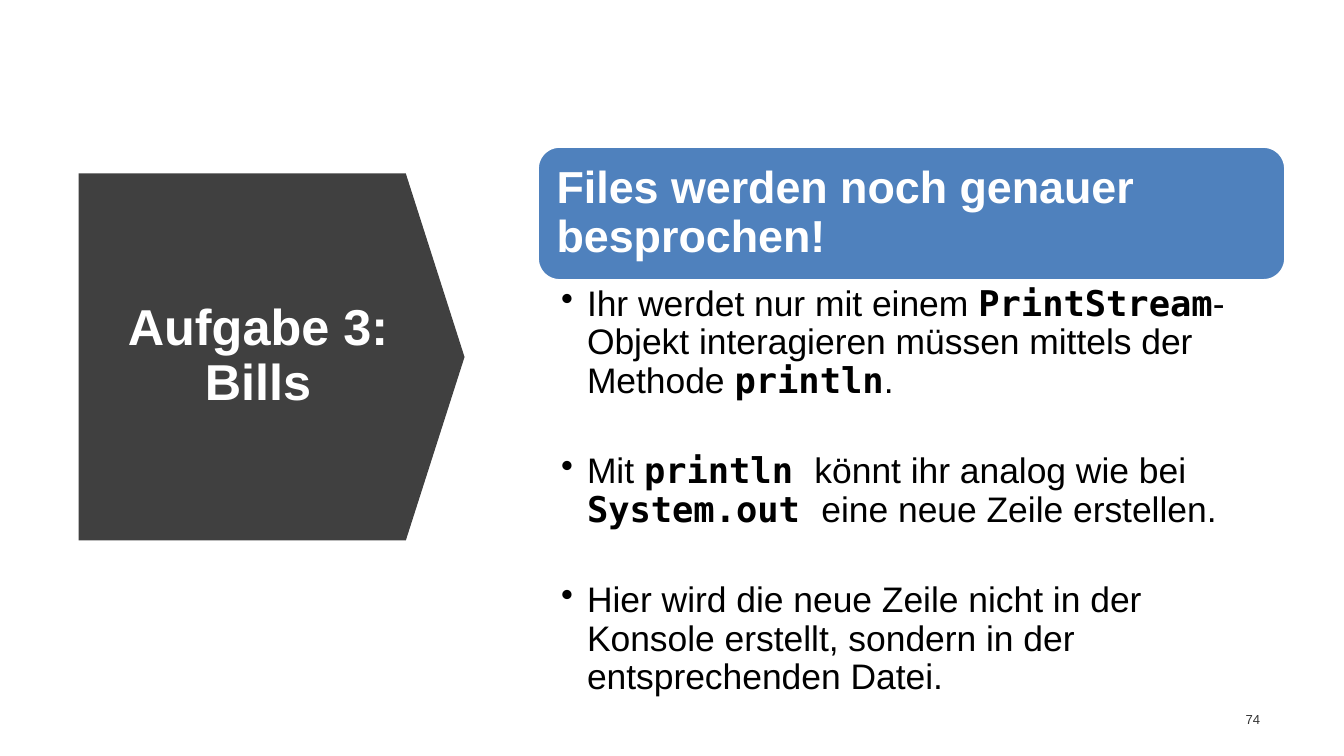
import dataclasses

import lxml.etree
import pptx
import pptx.dml.color
import pptx.enum.shapes
import pptx.enum.text
import pptx.oxml.ns
import pptx.util

EMU_PER_PX = 9144000 / 1344
SHAPES = pptx.enum.shapes.MSO_SHAPE
ALIGN = pptx.enum.text.PP_ALIGN
ANCHOR = pptx.enum.text.MSO_ANCHOR


def px(length):
    return pptx.util.Emu(round(length * EMU_PER_PX))


@dataclasses.dataclass(frozen=True)
class Theme:
    sans: str = "Arial"
    mono: str = "DejaVu Sans Mono"
    dark: str = "404040"
    accent: str = "4F81BD"
    light: str = "FFFFFF"
    ink: str = "000000"
    muted: str = "333333"
    title_size: int = 27
    heading_size: int = 24
    body_size: int = 19
    number_size: int = 7
    line_spacing: float = 0.9
    bullet_gap: int = 28


class SlideBuilder:
    def __init__(self, slide, theme):
        self.slide = slide
        self.theme = theme

    def apply(self, target, formats):
        for name, value in formats.items():
            setattr(target, name, value)

    def shape(self, kind, box, fill, line=None, adjustments=(), rotation=0):
        shape = self.slide.shapes.add_shape(kind, *map(px, box))
        self.apply(shape, {"rotation": rotation})
        self.apply(shape.shadow, {"inherit": False})
        shape.fill.solid()
        shape.fill.fore_color.rgb = pptx.dml.color.RGBColor.from_string(fill)
        if line:
            shape.line.color.rgb = pptx.dml.color.RGBColor.from_string(line)
            shape.line.width = pptx.util.Pt(2)
        else:
            shape.line.fill.background()
        for index, value in enumerate(adjustments):
            shape.adjustments[index] = value
        return shape

    def frame(self, shape, insets, anchor):
        sides = ("margin_left", "margin_top", "margin_right", "margin_bottom")
        formats = dict(zip(sides, map(px, insets)))
        formats.update(word_wrap=True, vertical_anchor=anchor)
        self.apply(shape.text_frame, formats)
        return shape.text_frame

    def runs(self, paragraph, parts, size, color, align):
        self.apply(paragraph, {"alignment": align, "line_spacing": self.theme.line_spacing})
        for text, font, bold in parts:
            run = paragraph.add_run()
            run.text = text
            self.apply(run.font, {"name": font, "size": pptx.util.Pt(size), "bold": bold})
            run.font.color.rgb = pptx.dml.color.RGBColor.from_string(color)

    def label(self, shape, text, size, color, bold, align, insets=(13, 7, 13, 7)):
        frame = self.frame(shape, insets, ANCHOR.MIDDLE)
        self.runs(frame.paragraphs[0], [(text, self.theme.sans, bold)], size, color, align)

    def text(self, box, *style):
        self.label(self.slide.shapes.add_textbox(*map(px, box)), *style)

    def bullets(self, box, insets, items):
        frame = self.frame(self.slide.shapes.add_textbox(*map(px, box)), insets, ANCHOR.TOP)
        for index, item in enumerate(items):
            paragraph = frame.add_paragraph() if index else frame.paragraphs[0]
            parts = [
                (text, self.theme.mono if code else self.theme.sans, code)
                for text, code in item
            ]
            self.runs(paragraph, parts, self.theme.body_size, self.theme.ink, ALIGN.LEFT)
            if index < len(items) - 1:
                paragraph.space_after = pptx.util.Pt(self.theme.bullet_gap)
            properties = paragraph._p.get_or_add_pPr()
            indent = px(26)
            for name, value in {"marL": indent, "indent": -indent}.items():
                properties.set(name, str(value))
            bullet = lxml.etree.SubElement(properties, pptx.oxml.ns.qn("a:buChar"))
            bullet.set("char", "•")


def main():
    theme = Theme()
    presentation = pptx.Presentation()
    presentation.slide_width, presentation.slide_height = px(1344), px(756)
    slide = presentation.slides.add_slide(presentation.slide_layouts[6])
    builder = SlideBuilder(slide, theme)

    builder.shape(SHAPES.DOWN_ARROW, (88, 164, 367, 386), theme.dark,
                  adjustments=(1, 0.16), rotation=270)
    builder.text((113, 216, 290, 281), "Aufgabe 3: Bills",
                 theme.title_size, theme.light, True, ALIGN.CENTER)
    builder.text((1216, 700, 57, 40), "74",
                 theme.number_size, theme.muted, False, ALIGN.RIGHT)

    heading = builder.shape(SHAPES.ROUNDED_RECTANGLE, (537, 146, 749, 135),
                            theme.accent, line=theme.light)
    builder.label(heading, "Files werden noch genauer besprochen!",
                  theme.heading_size, theme.light, True, ALIGN.LEFT, (13, 13, 13, 13))

    hints = [
        [("Ihr werdet nur mit einem ", False), ("PrintStream", True),
         ("-Objekt interagieren müssen mittels der Methode ", False),
         ("println", True), (".", False)],
        [("Mit ", False), ("println ", True), ("könnt ihr analog wie bei ", False),
         ("System.out ", True), ("eine neue Zeile erstellen.", False)],
        [("Hier wird die neue Zeile nicht in der Konsole erstellt, "
          "sondern in der entsprechenden Datei.", False)],
    ]
    builder.bullets((537, 282, 749, 417), (24, 4, 26, 4), hints)

    presentation.save("out.pptx")


if __name__ == "__main__":
    main()
